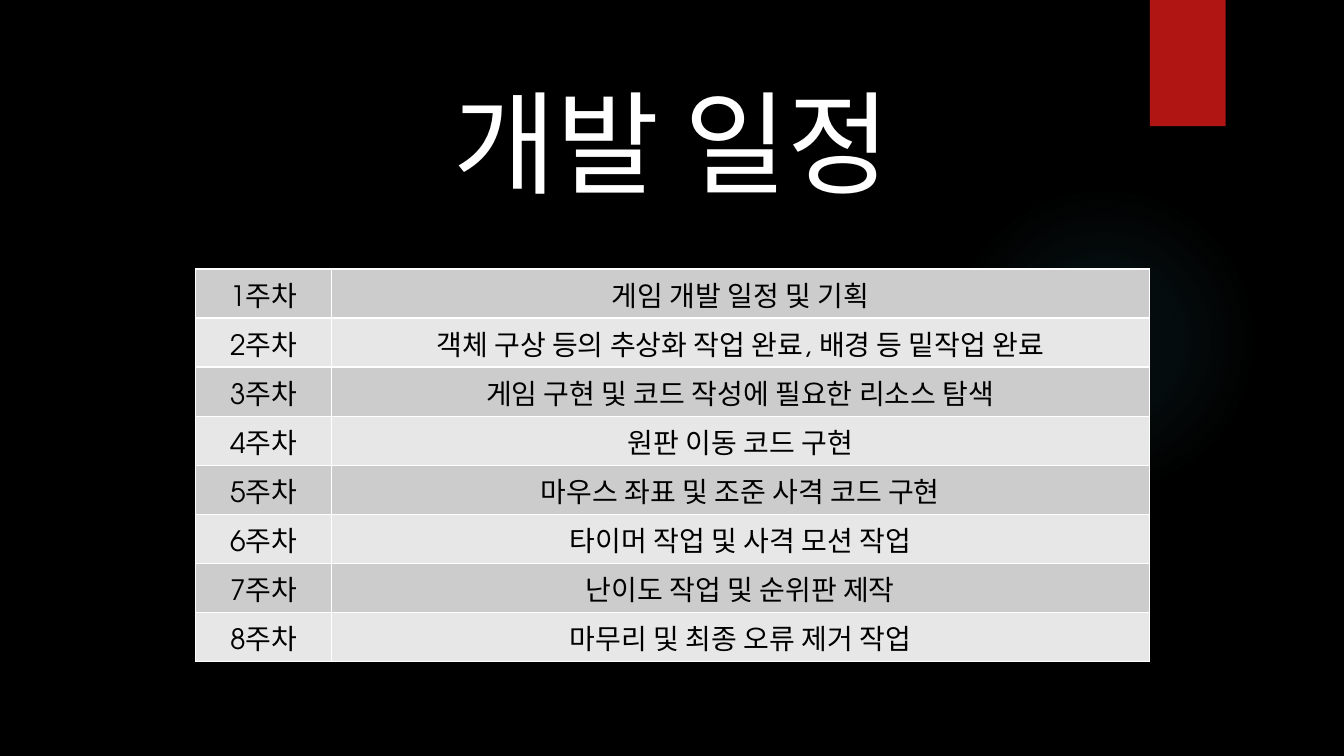
from dataclasses import dataclass

from lxml.etree import SubElement
from pptx import Presentation
from pptx.dml.color import RGBColor
from pptx.enum.shapes import MSO_SHAPE as Preset
from pptx.enum.text import MSO_AUTO_SIZE as AutoSize, PP_ALIGN as Align
from pptx.oxml import parse_xml
from pptx.oxml.ns import nsdecls, qn
from pptx.shapes.autoshape import Shape
from pptx.slide import Slide
from pptx.text.text import TextFrame
from pptx.util import Cm, Pt


@dataclass(frozen=True)
class Theme:
    background: str = "000000"
    title: str = "FFFFFF"
    body: str = "000000"
    ribbon: str = "B01513"
    glow: str = "50B9C1"
    shadow: str = "000000"
    border: str = "FFFFFF"
    bands: tuple[str, str] = ("CCCCCC", "E7E7E7")
    title_size: int = 80
    body_size: int = 20
    border_width: int = 1
    korean_font: str = "Noto Sans CJK KR"
    latin_font: str = "TeX Gyre Adventor"


@dataclass(frozen=True)
class Frame:
    left: float
    top: float
    width: float
    height: float

    def lengths(self) -> tuple[Cm, Cm, Cm, Cm]:
        return Cm(self.left), Cm(self.top), Cm(self.width), Cm(self.height)


@dataclass(frozen=True)
class GlowStop:
    position: int
    opacity: int


THEME = Theme()
PAGE = Frame(0, 0, 33.87, 19.05)
GLOW = Frame(23.9, 4.65, 7.82, 7.82)
RIBBON = Frame(28.98, 0, 1.91, 3.18)
TITLE = Frame(0, 1.73, 33.87, 3.68)
SCHEDULE = Frame(4.93, 6.78, 24.03, 9.88)
WEEK_WIDTH = 3.43
GLOW_STOPS = (GlowStop(0, 7), GlowStop(36, 6), GlowStop(69, 0))
TASKS = (
    "게임 개발 일정 및 기획",
    "객체 구상 등의 추상화 작업 완료, 배경 등 밑작업 완료",
    "게임 구현 및 코드 작성에 필요한 리소스 탐색",
    "원판 이동 코드 구현",
    "마우스 좌표 및 조준 사격 코드 구현",
    "타이머 작업 및 사격 모션 작업",
    "난이도 작업 및 순위판 제작",
    "마무리 및 최종 오류 제거 작업",
)


def write_centred(frame: TextFrame, text: str, font: str, size: int, color: str) -> None:
    para = frame.paragraphs[0]
    para.alignment = Align.CENTER
    span = para.add_run()
    span.text = text
    for name, value in {"name": font, "size": Pt(size)}.items():
        setattr(span.font, name, value)
    span.font.color.rgb = RGBColor.from_string(color)


def add_plain_shape(page: Slide, preset: Preset, frame: Frame, color: str) -> Shape:
    shape = page.shapes.add_shape(preset, *frame.lengths())
    shape.shadow.inherit = False
    shape.fill.solid()
    shape.fill.fore_color.rgb = RGBColor.from_string(color)
    shape.line.fill.background()
    return shape


def add_glow(page: Slide) -> None:
    glow = add_plain_shape(page, Preset.OVAL, GLOW, THEME.glow)
    stops = "".join(
        f'<a:gs pos="{stop.position * 1000}"><a:srgbClr val="{THEME.glow}">'
        f'<a:alpha val="{stop.opacity * 1000}"/></a:srgbClr></a:gs>'
        for stop in GLOW_STOPS
    )
    gradient = parse_xml(
        f'<a:gradFill {nsdecls("a")}><a:gsLst>{stops}</a:gsLst><a:path path="circle">'
        '<a:fillToRect l="50000" t="50000" r="50000" b="50000"/></a:path></a:gradFill>'
    )
    properties = glow.element.spPr
    properties.replace(properties.find(qn("a:solidFill")), gradient)


def add_ribbon(page: Slide) -> None:
    ribbon = add_plain_shape(page, Preset.RECTANGLE, RIBBON, THEME.ribbon)
    effects = ribbon.element.spPr.find(qn("a:effectLst"))
    effects.append(parse_xml(
        f'<a:outerShdw {nsdecls("a")} blurRad="{Pt(3)}" dist="{Pt(2)}" dir="5400000" '
        f'rotWithShape="0"><a:srgbClr val="{THEME.shadow}"><a:alpha val="45000"/>'
        '</a:srgbClr></a:outerShdw>'
    ))


def add_title(page: Slide) -> None:
    box = page.shapes.add_textbox(*TITLE.lengths())
    for name, value in {"word_wrap": True, "auto_size": AutoSize.SHAPE_TO_FIT_TEXT}.items():
        setattr(box.text_frame, name, value)
    write_centred(box.text_frame, "개발 일정", THEME.korean_font, THEME.title_size, THEME.title)


def add_schedule(page: Slide) -> None:
    holder = page.shapes.add_table(len(TASKS), 2, *SCHEDULE.lengths())
    table = holder.table
    for column, width in zip(table.columns, (WEEK_WIDTH, SCHEDULE.width - WEEK_WIDTH)):
        column.width = Cm(width)
    for index, task in enumerate(TASKS):
        table.rows[index].height = Cm(SCHEDULE.height / len(TASKS))
        for cell, text in zip(table.rows[index].cells, (f"{index + 1}주차", task)):
            cell.fill.solid()
            cell.fill.fore_color.rgb = RGBColor.from_string(THEME.bands[index % 2])
            write_centred(cell.text_frame, text, THEME.latin_font, THEME.body_size, THEME.body)

    # Cell borders come before the fill in each cell's properties
    for properties in holder.element.iter(qn("a:tcPr")):
        for order, side in enumerate(("lnL", "lnR", "lnT", "lnB")):
            properties.insert(order, parse_xml(
                f'<a:{side} {nsdecls("a")} w="{Pt(THEME.border_width)}"><a:solidFill>'
                f'<a:srgbClr val="{THEME.border}"/></a:solidFill></a:{side}>'
            ))


def set_korean_font(page: Slide) -> None:
    for properties in page.element.iter(qn("a:rPr")):
        SubElement(properties, qn("a:ea"), typeface=THEME.korean_font)


def main() -> None:
    deck = Presentation()
    deck.slide_width, deck.slide_height = Cm(PAGE.width), Cm(PAGE.height)
    page = deck.slides.add_slide(deck.slide_layouts[6])
    page.background.fill.solid()
    page.background.fill.fore_color.rgb = RGBColor.from_string(THEME.background)

    # Decoration at the back
    add_glow(page)
    add_ribbon(page)

    # Title and weekly schedule
    add_title(page)
    add_schedule(page)
    set_korean_font(page)

    deck.save("out.pptx")


if __name__ == "__main__":
    main()
